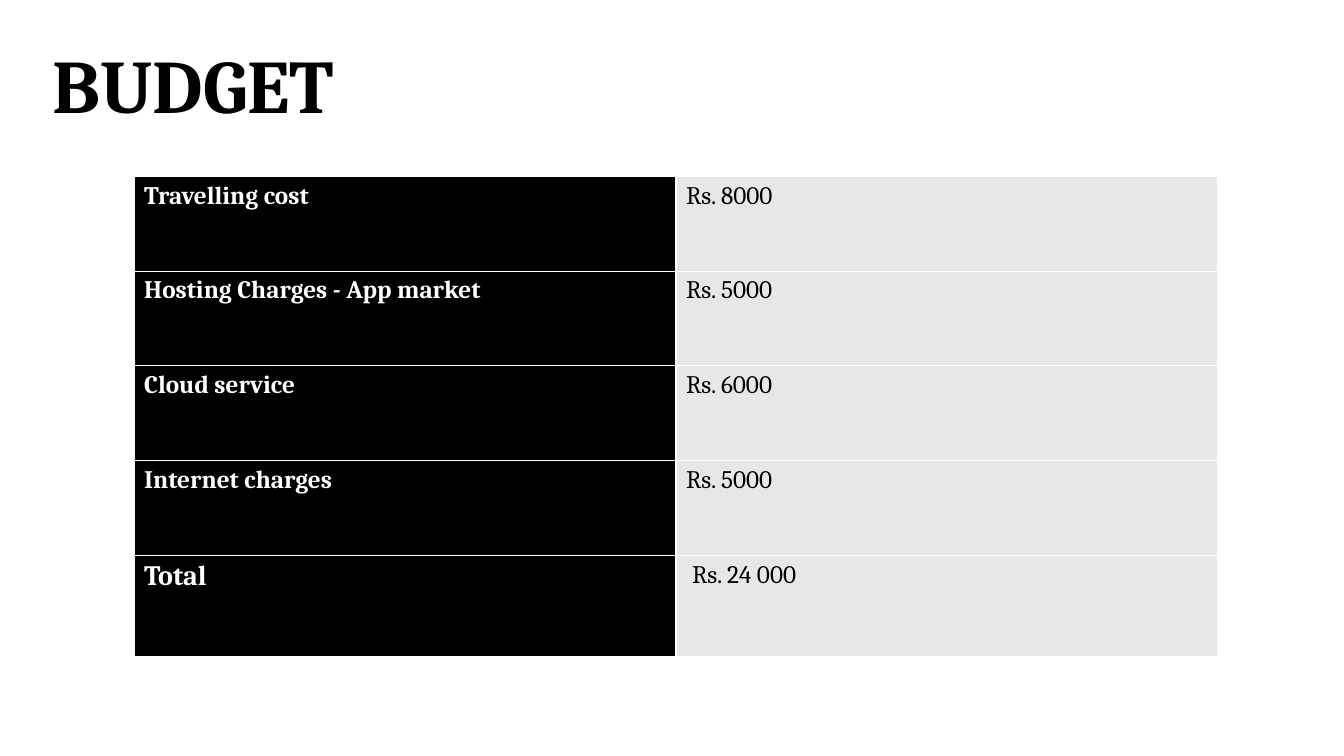
"""Build the budget slide with its cost table."""
from lxml import etree
from pptx import Presentation
from pptx.dml.color import RGBColor
from pptx.enum import text
from pptx.oxml import ns
from pptx.util import Inches, Pt

FONT = "Cambria"
BLACK = RGBColor(0x00, 0x00, 0x00)
WHITE = RGBColor(0xFF, 0xFF, 0xFF)
GREY = RGBColor(0xE7, 0xE7, 0xE7)

COSTS = [
    ("Travelling cost", "Rs. 8000"),
    ("Hosting Charges - App market", "Rs. 5000"),
    ("Cloud service", "Rs. 6000"),
    ("Internet charges", "Rs. 5000"),
    ("Total", "Rs. 24 000"),
]


def format_text(tf, size, color, bold):
    for r in tf.paragraphs[0].runs:
        r.font.name = FONT
        r.font.size = Pt(size)
        r.font.bold = bold
        r.font.color.rgb = color


def add_title(s, title):
    sp = s.shapes.title
    sp.left, sp.top = Inches(0.42), Inches(0.33)
    sp.width, sp.height = Inches(3.15), Inches(1.01)
    tf = sp.text_frame
    tf.text = title
    tf.word_wrap = False
    tf.auto_size = text.MSO_AUTO_SIZE.NONE
    tf.vertical_anchor = text.MSO_ANCHOR.TOP
    tf.paragraphs[0].alignment = text.PP_ALIGN.LEFT
    format_text(tf, 54, BLACK, True)


def add_borders(cell, color):
    tc_pr = cell._tc.get_or_add_tcPr()
    for side in ("lnL", "lnR", "lnT", "lnB"):
        ln = etree.SubElement(tc_pr, ns.qn(f"a:{side}"), w=str(Pt(1)))
        fill = etree.SubElement(ln, ns.qn("a:solidFill"))
        etree.SubElement(fill, ns.qn("a:srgbClr"), val=str(color))


def fill_cell(cell, content, size, color, bold, background):
    cell.text = content
    format_text(cell.text_frame, size, color, bold)
    add_borders(cell, WHITE)
    cell.fill.solid()
    cell.fill.fore_color.rgb = background


def add_cost_table(s, costs):
    frame = s.shapes.add_table(len(costs), 2, Inches(1.33), Inches(1.75),
                               Inches(10.75), Inches(4.75))
    table = frame.table
    table.first_row = table.horz_banding = False
    last = len(costs) - 1
    for i, (item, amount) in enumerate(costs):
        table.rows[i].height = Inches(1 if i == last else 0.94)
        label, value = table.rows[i].cells
        fill_cell(label, item, 20 if i == last else 18, WHITE, True, BLACK)
        fill_cell(value, amount, 18, BLACK, False, GREY)
    table.cell(last, 1).margin_left = Inches(0.16)


def main():
    prs = Presentation()
    prs.slide_width, prs.slide_height = Inches(13.33), Inches(7.5)
    s = prs.slides.add_slide(prs.slide_layouts.get_by_name("Title Only"))
    add_title(s, "BUDGET")
    add_cost_table(s, COSTS)
    prs.save("out.pptx")


if __name__ == "__main__":
    main()
